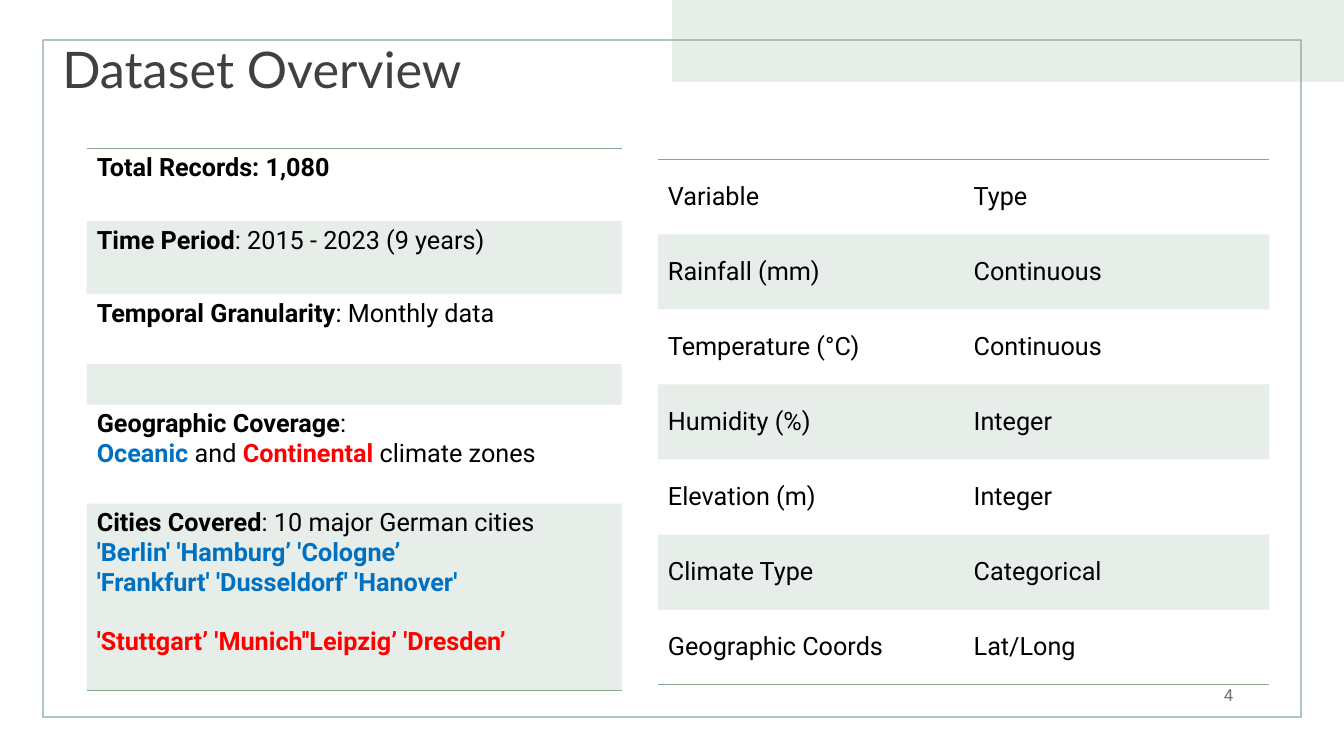
from typing import NamedTuple

import pptx
import pptx.dml.color
import pptx.enum.shapes
import pptx.enum.text
import pptx.oxml
import pptx.oxml.ns
import pptx.util

RGBColor = pptx.dml.color.RGBColor
Anchor = pptx.enum.text.MSO_ANCHOR
Align = pptx.enum.text.PP_ALIGN
Shape = pptx.enum.shapes.MSO_SHAPE

SAGE = RGBColor(0x88, 0xA8, 0x8E)
PALE_SAGE = RGBColor(0xE7, 0xEE, 0xE8)
CHARCOAL = RGBColor(0x40, 0x40, 0x40)
GREY = RGBColor(0x76, 0x71, 0x71)
BLACK = RGBColor(0, 0, 0)
BLUE = RGBColor(0x00, 0x70, 0xC0)
RED = RGBColor(0xFF, 0, 0)

WIDTH = pptx.util.Inches(13.33)
HEIGHT = pptx.util.Inches(7.5)


class Box(NamedTuple):
    left: float
    top: float
    width: float
    height: float


class Piece(NamedTuple):
    text: str
    bold: bool = False
    color: RGBColor = BLACK


class Line(NamedTuple):
    pieces: list[Piece]
    space_before: float = 0


class Label(NamedTuple):
    text: str
    box: Box
    size: float
    font: str
    color: RGBColor
    align: Align = Align.LEFT
    spacing: float = 1.0


class Panel(NamedTuple):
    shape: Shape
    box: Box
    fill: RGBColor
    thickness: float | None = None


class Grid(NamedTuple):
    left: float
    top: float
    column: float
    rows: list[float]
    cells: list[list[list[Line]]]
    anchor: Anchor
    inset: float
    ruled_tops: set[int]
    ruled_bottoms: set[int]


def across(share: float) -> int:
    return round(WIDTH * share / 100)


def down(share: float) -> int:
    return round(HEIGHT * share / 100)


def place(box: Box) -> tuple[int, int, int, int]:
    return across(box.left), down(box.top), across(box.width), down(box.height)


def add_panel(slide, panel: Panel) -> None:
    sp = slide.shapes.add_shape(panel.shape, *place(panel.box))
    sp.shadow.inherit = False
    sp.fill.solid()
    sp.fill.fore_color.rgb = panel.fill
    sp.line.fill.background()
    if panel.thickness is not None:
        sp.adjustments[0] = panel.thickness


def add_label(slide, label: Label) -> None:
    tf = slide.shapes.add_textbox(*place(label.box)).text_frame
    tf.word_wrap = True
    tf.vertical_anchor = Anchor.MIDDLE
    p = tf.paragraphs[0]
    p.text = label.text
    p.alignment = label.align
    p.line_spacing = label.spacing
    p.font.size = pptx.util.Pt(label.size)
    p.font.name = label.font
    p.font.color.rgb = label.color


def set_borders(cell, ruled: set[str]) -> None:
    properties = cell._tc.get_or_add_tcPr()
    for side in "LRTB":
        paint = (f'<a:solidFill><a:srgbClr val="{SAGE}"/></a:solidFill>'
                 if side in ruled else "<a:noFill/>")
        properties.append(pptx.oxml.parse_xml(
            f'<a:ln{side} {pptx.oxml.ns.nsdecls("a")} w="{pptx.util.Pt(1)}">'
            f"{paint}</a:ln{side}>"))


def fill_band(cell, shaded: bool) -> None:
    if not shaded:
        cell.fill.background()
        return
    cell.fill.solid()
    cell.fill.fore_color.rgb = SAGE
    color = cell._tc.tcPr.find(".//" + pptx.oxml.ns.qn("a:solidFill") + "/*[@val]")
    solid = cell._tc.tcPr.find(pptx.oxml.ns.qn("a:solidFill"))
    color = solid[0]
    color.append(pptx.oxml.parse_xml(
        f'<a:alpha {pptx.oxml.ns.nsdecls("a")} val="20000"/>'))


def write_lines(tf, lines: list[Line]) -> None:
    for i, line in enumerate(lines):
        p = tf.add_paragraph() if i else tf.paragraphs[0]
        p.space_before = pptx.util.Pt(line.space_before)
        p.font.size = pptx.util.Pt(18)
        p.font.name = "Roboto"
        for piece in line.pieces:
            r = p.add_run()
            r.text = piece.text
            r.font.bold = piece.bold
            r.font.color.rgb = piece.color


def add_grid(slide, grid: Grid) -> None:
    columns = len(grid.cells[0])
    box = Box(grid.left, grid.top, grid.column * columns, sum(grid.rows))
    table = slide.shapes.add_table(len(grid.rows), columns, *place(box)).table
    table.first_row = False
    table.horz_banding = False
    for column in table.columns:
        column.width = across(grid.column)
    for i, (height, row) in enumerate(zip(grid.rows, grid.cells)):
        table.rows[i].height = down(height)
        ruled = {side for side, rows in
                 (("T", grid.ruled_tops), ("B", grid.ruled_bottoms)) if i in rows}
        for j, lines in enumerate(row):
            cell = table.cell(i, j)
            cell.vertical_anchor = grid.anchor
            cell.margin_left = cell.margin_right = pptx.util.Inches(0.1)
            cell.margin_top = cell.margin_bottom = pptx.util.Inches(grid.inset)
            set_borders(cell, ruled)
            fill_band(cell, i % 2 == 1)
            write_lines(cell.text_frame, lines)


def fact(name: str, value: str) -> Line:
    return Line([Piece(name, True), Piece(value)])


PANELS = [
    Panel(Shape.RECTANGLE, Box(50, 0, 50, 10.8), PALE_SAGE),
    Panel(Shape.FRAME, Box(3.15, 5.2, 93.7, 89.73), SAGE, 0.002),
]
LABELS = [
    Label("Dataset Overview", Box(3.9, 3.07, 35.6, 12.93), 36, "Lato", CHARCOAL,
          spacing=0.9),
    Label("4", Box(70, 89.2, 22.5, 5.33), 12, "Roboto", GREY, Align.RIGHT),
]
VARIABLES = [
    ("Variable", "Type"),
    ("Rainfall (mm)", "Continuous"),
    ("Temperature (°C)", "Continuous"),
    ("Humidity (%)", "Integer"),
    ("Elevation (m)", "Integer"),
    ("Climate Type", "Categorical"),
    ("Geographic Coords", "Lat/Long"),
]
FACTS = [
    [Line([Piece("Total Records: 1,080", True)])],
    [fact("Time Period", ": 2015 - 2023 (9 years)")],
    [fact("Temporal Granularity", ": Monthly data")],
    [Line([])],
    [fact("Geographic Coverage", ":"),
     Line([Piece("Oceanic", True, BLUE), Piece(" and "),
           Piece("Continental", True, RED), Piece(" climate zones")])],
    [fact("Cities Covered", ": 10 major German cities"),
     Line([Piece("'Berlin' 'Hamburg’ 'Cologne’", True, BLUE)]),
     Line([Piece("'Frankfurt' 'Dusseldorf' 'Hanover'", True, BLUE)]),
     Line([Piece("'Stuttgart’ 'Munich''Leipzig’ 'Dresden’", True, RED)], 21)],
]
GRIDS = [
    Grid(48.95, 21.07, 22.75, [9.93] * len(VARIABLES),
         [[[Line([Piece(text)])] for text in row] for row in VARIABLES],
         Anchor.MIDDLE, 0.1, {0}, {0, 6}),
    Grid(6.45, 19.6, 39.8, [9.66, 9.66, 9.26, 5.2, 13.1, 24.7],
         [[lines] for lines in FACTS], Anchor.TOP, 0.05, {0}, {0, 5}),
]


def main() -> None:
    prs = pptx.Presentation()
    prs.slide_width, prs.slide_height = WIDTH, HEIGHT
    slide = prs.slides.add_slide(prs.slide_layouts[6])
    for panel in PANELS:
        add_panel(slide, panel)
    for label in LABELS:
        add_label(slide, label)
    for grid in GRIDS:
        add_grid(slide, grid)
    prs.save("out.pptx")


if __name__ == "__main__":
    main()
